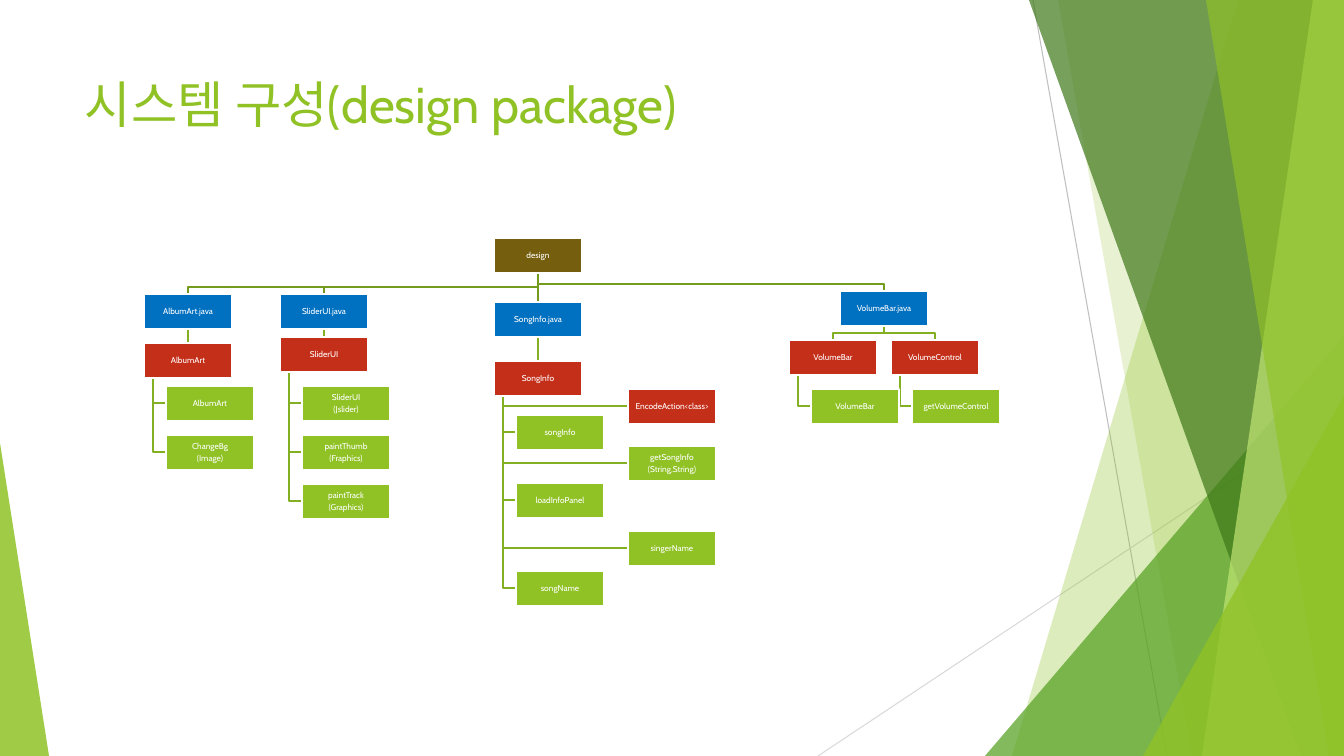
from lxml import etree
from pptx import Presentation
from pptx.dml.color import RGBColor
from pptx.enum.shapes import MSO_CONNECTOR, MSO_SHAPE
from pptx.enum.text import MSO_ANCHOR, PP_ALIGN
from pptx.oxml.ns import qn
from pptx.util import Emu, Pt

STRAIGHT = MSO_CONNECTOR.STRAIGHT
RECTANGLE, TRIANGLE = MSO_SHAPE.RECTANGLE, MSO_SHAPE.ISOSCELES_TRIANGLE
TOP, MIDDLE = MSO_ANCHOR.TOP, MSO_ANCHOR.MIDDLE
LEFT, CENTER = PP_ALIGN.LEFT, PP_ALIGN.CENTER

# Content: (kind, lines of the label, left, top, children)
TITLE = "시스템 구성(design package)"
TREE = ("package", ["design"], 494, 238, [
    ("file", ["AlbumArt.java"], 144, 294, [
        ("class", ["AlbumArt"], 144, 343, [
            ("method", ["AlbumArt"], 166, 386, []),
            ("method", ["ChangeBg", "(Image)"], 166, 435, []),
        ]),
    ]),
    ("file", ["SliderUI.java"], 280, 294, [
        ("class", ["SliderUI"], 280, 337, [
            ("method", ["SliderUI", "(Jslider)"], 302, 386, []),
            ("method", ["paintThumb", "(Fraphics)"], 302, 435, []),
            ("method", ["paintTrack", "(Graphics)"], 302, 484, []),
        ]),
    ]),
    ("file", ["SongInfo.java"], 494, 302, [
        ("class", ["SongInfo"], 494, 361, [
            ("class", ["EncodeAction<class>"], 628, 389, []),
            ("method", ["songInfo"], 516, 415, []),
            ("method", ["getSongInfo", "(String,String)"], 628, 446, []),
            ("method", ["loadInfoPanel"], 516, 483, []),
            ("method", ["singerName"], 628, 531, []),
            ("method", ["songName"], 516, 571, []),
        ]),
    ]),
    ("file", ["VolumeBar.java"], 840, 291, [
        ("class", ["VolumeBar"], 789, 340, [
            ("method", ["VolumeBar"], 811, 389, []),
        ]),
        ("class", ["VolumeControl"], 891, 340, [
            ("method", ["getVolumeControl"], 912, 389, []),
        ]),
    ]),
])

PAGE_W, PAGE_H = 1344, 756
BOX_W, BOX_H = 88, 35
BEND, HANG = 7, 9  # bend above a child; trunk inset from the parent's left
TITLE_FRAME = (75, 68, 948, 145)

# Bands reach the right edge: ("band", top x, bottom x, colour, opacity)
# Triangles: ("triangle", frame, apex, colour, opacity)
BACKDROP = [
    ("band", 1238, 1012, "90C226", 30),
    ("band", 1058, 1192, "90C226", 20),
    ("triangle", (985, 336, 359, 420), 1, "54A021", 72),
    ("band", 1029, 1301, "3F7819", 70),
    ("band", 1313, 1202, "C0E474", 70),
    ("band", 1206, 1329, "90C226", 65),
    ("triangle", (1143, 396, 201, 360), 1, "90C226", 80),
    ("triangle", (0, 443, 49, 313), 0, "90C226", 85),
]
RAYS = [((1033, 0), (1167, PAGE_H), "BFBFBF"),
        ((PAGE_W, 406), (818, PAGE_H), "D9D9D9")]

THEME = {
    "font": "Cabin", "title": "90C226", "title_size": 36,
    "label": "FFFFFF", "label_size": 6, "edge": "FFFFFF",
    "package": "755E0D", "file": "0070C0", "class": "C42F1A", "method": "90C226",
    "root_link": "739B1E", "link": "83B022", "link_width": 1.5, "ray_width": 0.75,
}
EMU_PER_PIXEL = 914400 / 100.8


def px(*lengths):
    """Turn pixel lengths into EMU."""
    return [Emu(round(length * EMU_PER_PIXEL)) for length in lengths]


def set_line(shape, colour, width):
    """Give a shape or connector a plain line."""
    shape.line.color.rgb = RGBColor.from_string(colour)
    shape.line.width = Pt(width)


def set_fill(shape, colour, opacity=100):
    """Give a shape a solid, possibly see-through fill and no shadow."""
    shape.shadow.inherit = False
    shape.fill.solid()
    shape.fill.fore_color.rgb = RGBColor.from_string(colour)
    if opacity < 100:
        tint = shape.fill._xPr.find(".//" + qn("a:srgbClr"))
        etree.SubElement(tint, qn("a:alpha")).set("val", str(opacity * 1000))


def write(shape, lines, size, colour, align, **frame_format):
    """Write one paragraph per line into a shape."""
    frame = shape.text_frame
    for name, value in {"word_wrap": True, **frame_format}.items():
        setattr(frame, name, value)
    for index, line in enumerate(lines):
        para = frame.add_paragraph() if index else frame.paragraphs[0]
        para.alignment = align
        if len(lines) > 1:
            para.line_spacing, para.space_after = 0.9, Pt(size * 0.35)
        span = para.add_run()
        span.text = line
        span.font.color.rgb = RGBColor.from_string(colour)
        for name, value in {"name": THEME["font"], "size": Pt(size)}.items():
            setattr(span.font, name, value)


def add_straight(page, start, end, colour, width):
    """Draw a straight line without a shadow."""
    line = page.shapes.add_connector(STRAIGHT, *px(*start, *end))
    set_line(line, colour, width)
    etree.SubElement(line._element.spPr, qn("a:effectLst"))


def add_outline(page, points, close):
    """Build a freeform through the points."""
    builder = page.shapes.build_freeform(*points[0], scale=EMU_PER_PIXEL)
    builder.add_line_segments(points[1:], close=close)
    return builder.convert_to_shape()


def add_backdrop(page):
    """Draw the rays, bands and triangles behind the diagram."""
    for start, end, colour in RAYS:
        add_straight(page, start, end, colour, THEME["ray_width"])
    for kind, first, second, colour, opacity in BACKDROP:
        if kind == "band":
            corners = [(first, 0), (PAGE_W, 0), (PAGE_W, PAGE_H), (second, PAGE_H)]
            shape = add_outline(page, corners, True)
        else:
            shape = page.shapes.add_shape(TRIANGLE, *px(*first))
            shape.adjustments[0] = second
        set_fill(shape, colour, opacity)
        shape.line.fill.background()


def add_link(page, parent, child):
    """Join a child to its parent: hung from a class, forked from the rest."""
    kind, _, left, top, _ = parent
    _, _, child_left, child_top, _ = child
    colour = THEME["root_link" if kind == "package" else "link"]
    bottom, middle, child_middle = top + BOX_H, left + BOX_W // 2, child_left + BOX_W // 2
    if kind == "class":
        trunk, level = left + HANG, child_top + BOX_H // 2
        points = [(trunk, bottom), (trunk, level), (child_left, level)]
    elif middle == child_middle:
        add_straight(page, (middle, bottom), (middle, child_top), colour, THEME["link_width"])
        return
    else:
        bend = child_top - BEND
        points = [(middle, bottom), (middle, bend), (child_middle, bend), (child_middle, child_top)]
    link = add_outline(page, points, False)
    link.shadow.inherit = False
    link.fill.background()
    set_line(link, colour, THEME["link_width"])


def add_links(page, node):
    """Draw every link below a node."""
    for child in node[4]:
        add_link(page, node, child)
        add_links(page, child)


def add_boxes(page, node):
    """Draw a node's box and those below it."""
    kind, lines, left, top, children = node
    box = page.shapes.add_shape(RECTANGLE, *px(left, top, BOX_W, BOX_H))
    set_fill(box, THEME[kind])
    set_line(box, THEME["edge"], THEME["link_width"])
    write(box, lines, THEME["label_size"], THEME["label"], CENTER, vertical_anchor=MIDDLE,
          margin_left=0, margin_right=0, margin_top=0, margin_bottom=0)
    for child in children:
        add_boxes(page, child)


def main():
    """Build the slide and save it."""
    deck = Presentation()
    deck.slide_width, deck.slide_height = px(PAGE_W, PAGE_H)
    page = deck.slides.add_slide(deck.slide_layouts[6])
    add_backdrop(page)
    title = page.shapes.add_textbox(*px(*TITLE_FRAME))
    write(title, [TITLE], THEME["title_size"], THEME["title"], LEFT, vertical_anchor=TOP)
    add_links(page, TREE)
    add_boxes(page, TREE)
    deck.save("out.pptx")


main()
